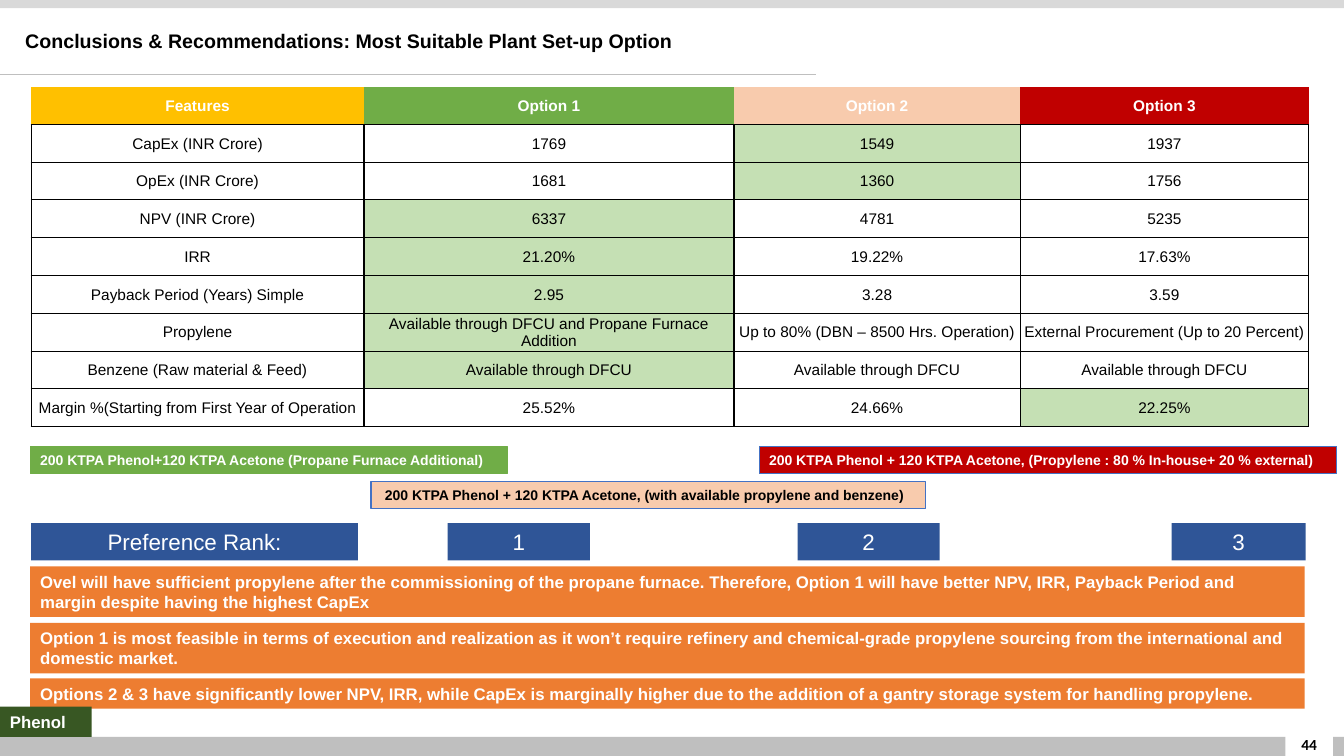
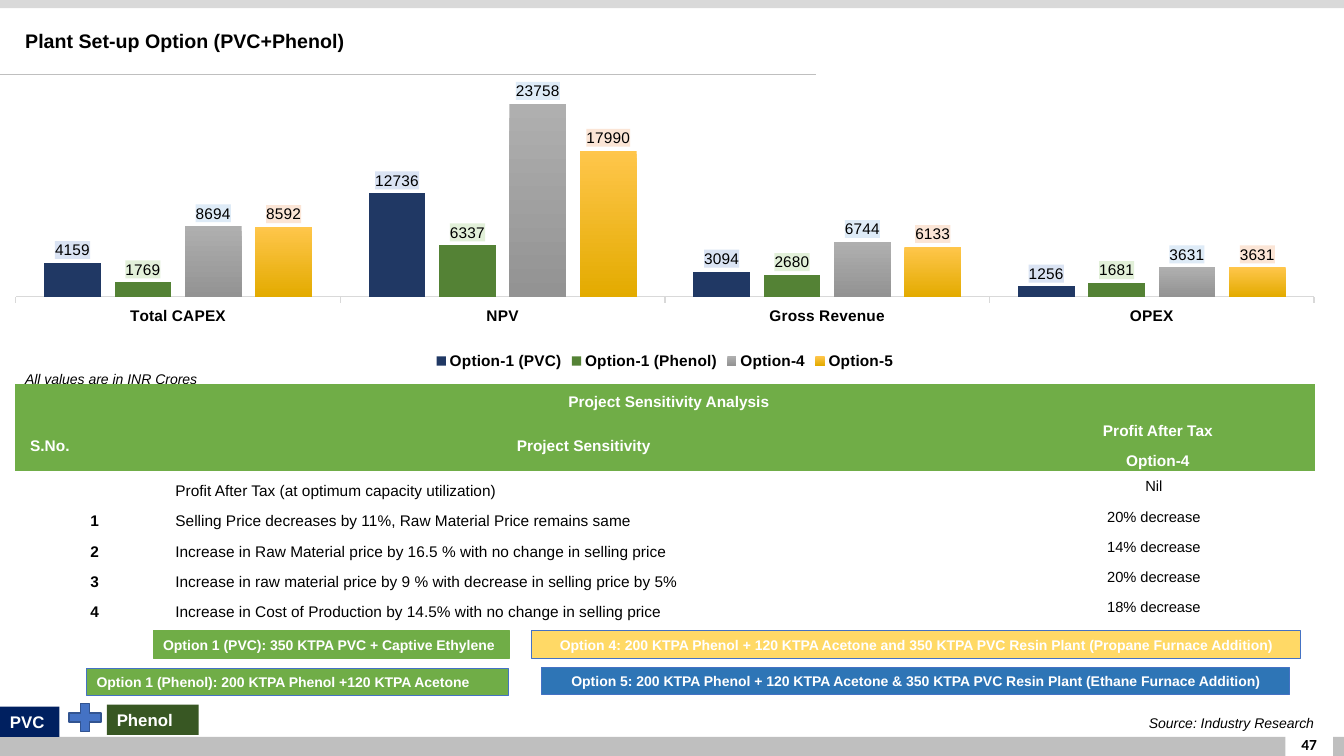
from dataclasses import dataclass

from lxml import etree
from pptx import Presentation
from pptx.chart.data import CategoryChartData
from pptx.dml.color import RGBColor
from pptx.enum.chart import XL_CHART_TYPE, XL_LABEL_POSITION, XL_LEGEND_POSITION, XL_TICK_MARK
from pptx.enum.shapes import MSO_CONNECTOR, MSO_SHAPE
from pptx.enum.text import MSO_ANCHOR, PP_ALIGN
from pptx.oxml import parse_xml
from pptx.oxml.ns import nsdecls, qn
from pptx.util import Inches, Pt

LEFT, CENTER, RIGHT = PP_ALIGN.LEFT, PP_ALIGN.CENTER, PP_ALIGN.RIGHT
TOP, MIDDLE = MSO_ANCHOR.TOP, MSO_ANCHOR.MIDDLE
RECTANGLE, PLUS = MSO_SHAPE.RECTANGLE, MSO_SHAPE.MATH_PLUS
NO_TABLE_STYLE = "{2D5ABB26-0587-4C30-8999-92F81FD0307C}"


@dataclass(frozen=True)
class Theme:
    font: str = "Arial"
    number_font: str = "Calibri"
    black: str = "000000"
    white: str = "FFFFFF"
    band: str = "BFBFBF"
    band_light: str = "D9D9D9"
    green: str = "70AD47"
    green_light: str = "C5E0B4"
    green_dark: str = "385723"
    green_bar: str = "548235"
    amber: str = "FFC000"
    yellow: str = "FFD966"
    peach: str = "F8CBAD"
    red: str = "C00000"
    orange: str = "ED7D31"
    blue: str = "2F5597"
    blue_bright: str = "2E75B6"
    blue_line: str = "4472C4"
    blue_edge: str = "325491"
    navy: str = "002060"
    navy_bar: str = "203864"
    title_size: float = 14
    rank_size: float = 16
    note_size: float = 12
    body_size: float = 11
    value_size: float = 10.5
    small_size: float = 10


THEME = Theme()


def rgb(color):
    return RGBColor.from_string(color)


def style_font(font, size=THEME.body_size, color=THEME.black, bold=False, italic=False, name=THEME.font):
    font.name, font.size, font.bold, font.italic = name, Pt(size), bold, italic
    font.color.rgb = rgb(color)


def write(text_frame, text, align=LEFT, anchor=MIDDLE, spacing=1.0, after=0, indent=0, **font_format):
    """Fill a text frame with one formatted paragraph."""
    text_frame.word_wrap = True
    text_frame.vertical_anchor = anchor
    paragraph = text_frame.paragraphs[0]
    paragraph.alignment = align
    paragraph.line_spacing = spacing
    paragraph.space_before, paragraph.space_after = Pt(0), Pt(after)
    if indent:
        paragraph._p.get_or_add_pPr().set("marL", str(Inches(indent)))
    if text:
        run = paragraph.add_run()
        run.text = text
        style_font(run.font, **font_format)
    else:
        paragraph._p.get_or_add_endParaRPr().set("sz", str(int(THEME.body_size * 100)))


def set_fill(fill, color):
    if color is None:
        fill.background()
    else:
        fill.solid()
        fill.fore_color.rgb = rgb(color)


def set_borders(cell, sides, color, width):
    properties = cell._tc.get_or_add_tcPr()
    for position, side in enumerate(sides):
        line = parse_xml(
            f'<a:ln{side} {nsdecls("a")} w="{Pt(width)}"><a:solidFill>'
            f'<a:srgbClr val="{color}"/></a:solidFill></a:ln{side}>')
        properties.insert(position, line)


class Deck:
    def __init__(self, theme):
        self.theme = theme
        self.presentation = Presentation()
        self.presentation.slide_width = Inches(13.33)
        self.presentation.slide_height = Inches(7.5)
        self.slide = None

    def new_slide(self, title, number):
        """Start a slide with its bands, rule, title and page number."""
        theme = self.theme
        self.slide = self.presentation.slides.add_slide(self.presentation.slide_layouts[5])
        self.box(-0.05, 7.31, 13.4, 0.19, theme.band)
        self.box(0, 0, 13.36, 0.08, theme.band_light)
        self.box(12.75, 7.13, 0.47, 0.38, theme.white)
        self.label(12.66, 7.18, 0.65, 0.4, number, align=CENTER, anchor=MIDDLE,
                   bold=True, name=theme.number_font)
        self.rule(0, 0.74, 8.09)
        heading = self.slide.shapes.title
        heading.left, heading.top = Inches(0.15), Inches(0.17)
        heading.width, heading.height = Inches(8.11), Inches(0.5)
        write(heading.text_frame, title, spacing=0.9, size=theme.title_size, bold=True)

    def rule(self, left, top, width):
        line = self.slide.shapes.add_connector(
            MSO_CONNECTOR.STRAIGHT, Inches(left), Inches(top), Inches(left + width), Inches(top))
        line.line.color.rgb = rgb(self.theme.band)
        line.line.width = Pt(0.5)
        etree.SubElement(line._element.spPr, qn("a:effectLst"))

    def box(self, left, top, width, height, fill, text=None, line=None, line_width=0.75,
            kind=RECTANGLE, color=THEME.white, **text_format):
        shape = self.slide.shapes.add_shape(
            kind, Inches(left), Inches(top), Inches(width), Inches(height))
        shape.shadow.inherit = False
        set_fill(shape.fill, fill)
        set_fill(shape.line.fill, line)
        if line:
            shape.line.width = Pt(line_width)
        if text:
            write(shape.text_frame, text, color=color, **text_format)

    def tag(self, left, top, width, fill, text, line=THEME.blue_line, **text_format):
        """Small bold caption that explains an option."""
        self.box(left, top, width, 0.27, fill, text, line, size=self.theme.small_size,
                 bold=True, **text_format)

    def note(self, left, top, width, height, fill, text):
        self.box(left, top, width, height, fill, text, size=self.theme.note_size, bold=True)

    def label(self, left, top, width, height, text, anchor=TOP, **text_format):
        text_box = self.slide.shapes.add_textbox(
            Inches(left), Inches(top), Inches(width), Inches(height))
        write(text_box.text_frame, text, anchor=anchor, **text_format)

    def table(self, left, top, widths, heights):
        frame = self.slide.shapes.add_table(
            len(heights), len(widths), Inches(left), Inches(top),
            Inches(sum(widths)), Inches(sum(heights)))
        table = frame.table
        table._tbl.tblPr.find(qn("a:tableStyleId")).text = NO_TABLE_STYLE
        for column, width in zip(table.columns, widths):
            column.width = Inches(width)
        for row, height in zip(table.rows, heights):
            row.height = Inches(height)
        return table

    def cell(self, cell, text, fill=None, borders=(), side_margin=0.01, top_margin=0.01, **text_format):
        cell.margin_left = cell.margin_right = Inches(side_margin)
        cell.margin_top, cell.margin_bottom = Inches(top_margin), 0
        cell.vertical_anchor = MIDDLE
        set_fill(cell.fill, fill)
        set_borders(cell, borders, self.theme.black, 1)
        write(cell.text_frame, text, anchor=None, **text_format)

    def column_chart(self, left, top, width, height, categories, series_rows, maximum):
        """Clustered columns; each series row is name, values, colours, label fill."""
        data = CategoryChartData(number_format="0")
        data.categories = categories
        for name, values, _, _ in series_rows:
            data.add_series(name, values)
        chart = self.slide.shapes.add_chart(
            XL_CHART_TYPE.COLUMN_CLUSTERED, Inches(left), Inches(top),
            Inches(width), Inches(height), data).chart
        style_font(chart.font)
        chart.has_title = False
        chart.has_legend = True
        chart.legend.position = XL_LEGEND_POSITION.BOTTOM
        chart.legend.include_in_layout = False
        style_font(chart.legend.font, bold=True)

        value_axis, category_axis = chart.value_axis, chart.category_axis
        value_axis.minimum_scale, value_axis.maximum_scale = 0, maximum
        value_axis.has_major_gridlines = False
        value_axis.visible = False
        category_axis.major_tick_mark = XL_TICK_MARK.OUTSIDE
        category_axis.format.line.color.rgb = rgb(self.theme.band_light)
        category_axis.format.line.width = Pt(1)
        style_font(category_axis.tick_labels.font, bold=True)

        plot = chart.plots[0]
        plot.gap_width, plot.overlap, plot.vary_by_categories = 100, -24, False
        for series, (_, _, colors, label_fill) in zip(plot.series, series_rows):
            self.fill_series(series, colors)
            self.label_series(series, label_fill)
        self.place_plot(chart, x=0, y=0.07, w=1, h=0.674)

    def fill_series(self, series, colors):
        fill = series.format.fill
        if len(colors) == 1:
            set_fill(fill, colors[0])
            return
        fill.gradient()
        fill.gradient_angle = 270
        for stop, color in zip(fill.gradient_stops, colors):
            stop.color.rgb = rgb(color)

    def label_series(self, series, label_fill):
        labels = series.data_labels
        labels.show_value = True
        labels.number_format, labels.number_format_is_linked = "0", False
        labels.position = XL_LABEL_POSITION.OUTSIDE_END
        style_font(labels.font)
        labels._element.find(qn("c:txPr")).addprevious(parse_xml(
            f'<c:spPr {nsdecls("c", "a")}><a:solidFill><a:srgbClr val="{label_fill}"/>'
            '</a:solidFill></c:spPr>'))

    def place_plot(self, chart, **bounds):
        plot_area = chart._chartSpace.chart.plotArea
        for old_layout in plot_area.findall(qn("c:layout")):
            plot_area.remove(old_layout)
        settings = {"layoutTarget": "inner", "xMode": "edge", "yMode": "edge", **bounds}
        items = "".join(f'<c:{key} val="{value}"/>' for key, value in settings.items())
        plot_area.insert(0, parse_xml(
            f'<c:layout {nsdecls("c")}><c:manualLayout>{items}</c:manualLayout></c:layout>'))


def build_conclusions(deck):
    theme = deck.theme
    deck.new_slide("Conclusions & Recommendations: Most Suitable Plant Set-up Option", "44")

    # Option comparison: features, three options, column of the best option
    headers = [("Features", theme.amber), ("Option 1", theme.green),
               ("Option 2", theme.peach), ("Option 3", theme.red)]
    dfcu = "Available through DFCU"
    features = [
        ("CapEx (INR Crore)", "1769", "1549", "1937", 2),
        ("OpEx (INR Crore)", "1681", "1360", "1756", 2),
        ("NPV (INR Crore)", "6337", "4781", "5235", 1),
        ("IRR", "21.20%", "19.22%", "17.63%", 1),
        ("Payback Period (Years) Simple", "2.95", "3.28", "3.59", 1),
        ("Propylene", "Available through DFCU and Propane Furnace Addition",
         "Up to 80% (DBN – 8500 Hrs. Operation)", "External Procurement (Up to 20 Percent)", 1),
        ("Benzene (Raw material & Feed)", dfcu, dfcu, dfcu, 1),
        ("Margin %(Starting from First Year of Operation", "25.52%", "24.66%", "22.25%", 3),
    ]
    table = deck.table(0.31, 0.86, [3.3, 3.67, 2.84, 2.86], [3.37 / 9] * 9)
    for column, (text, fill) in enumerate(headers):
        deck.cell(table.cell(0, column), text, fill, "B", align=CENTER, color=theme.white, bold=True)
    for row, (*texts, best) in enumerate(features, start=1):
        for column, text in enumerate(texts):
            fill = theme.green_light if column == best else theme.white
            deck.cell(table.cell(row, column), text, fill, "LRTB", align=CENTER)

    # Option captions
    deck.tag(0.3, 4.43, 4.73, theme.green,
             "200 KTPA Phenol+120 KTPA Acetone (Propane Furnace Additional)", line=theme.green)
    deck.tag(3.68, 4.78, 5.5, theme.peach,
             "200 KTPA Phenol + 120 KTPA Acetone, (with available propylene and benzene)",
             color=theme.black, indent=0.04)
    deck.tag(7.53, 4.43, 5.73, theme.red,
             "200 KTPA Phenol + 120 KTPA Acetone, (Propylene : 80 % In-house+ 20 % external)")

    # Preference ranks
    for left, width, text in [(0.31, 3.24, "Preference Rank:"), (4.44, 1.41, "1"),
                              (7.91, 1.41, "2"), (11.62, 1.33, "3")]:
        deck.box(left, 5.19, width, 0.37, theme.blue, text, align=CENTER, size=theme.rank_size)

    # Recommendations
    for top, height, text in [
        (5.62, 0.5, "Ovel will have sufficient propylene after the commissioning of the propane furnace. "
         "Therefore, Option 1 will have better NPV, IRR, Payback Period and margin despite having "
         "the highest CapEx"),
        (6.18, 0.5, "Option 1 is most feasible in terms of execution and realization as it won’t require "
         "refinery and chemical-grade propylene sourcing from the international and domestic market."),
        (6.73, 0.3, "Options 2 & 3 have significantly lower NPV, IRR, while CapEx is marginally higher "
         "due to the addition of a gantry storage system for handling propylene."),
    ]:
        deck.note(0.3, top, 12.64, height, theme.orange, text)
    deck.note(0, 7.01, 0.91, 0.3, theme.green_dark, "Phenol")


def build_plant_options(deck):
    theme = deck.theme
    deck.new_slide("Plant Set-up Option (PVC+Phenol)", "47")
    deck.label(10.86, 7.03, 2.27, 0.27, "Source: Industry Research", align=RIGHT, spacing=1.07,
               size=theme.small_size, italic=True)

    # Option figures
    deck.column_chart(0.15, 0.72, 12.89, 2.99, ["Total CAPEX", "NPV", "Gross Revenue", "OPEX"], [
        ("Option-1 (PVC)", (4159, 12736, 3094, 1256), [theme.navy_bar], "DAE3F3"),
        ("Option-1 (Phenol)", (1769, 6337, 2680, 1681), [theme.green_bar], "E2F0D9"),
        ("Option-4", (8694, 23758, 6744, 3631), ["AFAFAF", "939393"], "DEEBF7"),
        ("Option-5", (8592, 17990, 6133, 3631), ["FFC64B", "E3AB00"], "FBE5D6"),
    ], maximum=25000)
    deck.label(0.15, 3.62, 2.27, 0.27, "All values are in INR Crores", spacing=1.07,
               size=theme.small_size, italic=True)

    # Sensitivity table
    table = deck.table(0.15, 3.81, [1.5, 8.2, 3.19], [0.26, 0.29] + [0.3] * 6)
    table.cell(0, 0).merge(table.cell(0, 2))
    for column in (0, 1):
        table.cell(1, column).merge(table.cell(2, column))
    spaced = {"spacing": 1.5, "indent": 0.08}
    header = {"fill": theme.green, "color": theme.white, "bold": True, **spaced}
    for row, column, text, align in [(0, 0, "Project Sensitivity Analysis", CENTER),
                                     (1, 0, "S.No.", LEFT), (1, 1, "Project Sensitivity", CENTER),
                                     (1, 2, "Profit After Tax", CENTER)]:
        deck.cell(table.cell(row, column), text, align=align, after=8,
                  side_margin=0.07, top_margin=0, **header)
    deck.cell(table.cell(2, 2), "Option-4", align=CENTER, **header)
    for row, (number, sensitivity, profit) in enumerate([
        ("", "Profit After Tax (at optimum capacity utilization)", "Nil"),
        ("1", "Selling Price decreases by 11%, Raw Material Price remains same", "20% decrease"),
        ("2", "Increase in Raw Material price by 16.5 % with no change in selling price", "14% decrease"),
        ("3", "Increase in raw material price by 9 % with decrease in selling price by 5%", "20% decrease"),
        ("4", "Increase in Cost of Production by 14.5% with no change in selling price", "18% decrease"),
    ], start=3):
        deck.cell(table.cell(row, 0), number, align=CENTER, bold=True, **spaced)
        deck.cell(table.cell(row, 1), sensitivity, **spaced)
        deck.cell(table.cell(row, 2), profit, align=CENTER, size=theme.value_size)

    # Option captions
    deck.tag(1.52, 6.26, 3.53, theme.green, "Option 1 (PVC): 350 KTPA PVC + Captive Ethylene",
             line=theme.green)
    deck.tag(0.86, 6.63, 4.18, theme.green, "Option 1 (Phenol): 200 KTPA Phenol +120 KTPA Acetone")
    deck.tag(5.27, 6.26, 7.63, theme.yellow, "Option 4: 200 KTPA Phenol + 120 KTPA Acetone and "
             "350 KTPA PVC Resin Plant (Propane Furnace Addition)", align=CENTER)
    deck.tag(5.37, 6.62, 7.42, theme.blue_bright, "Option 5: 200 KTPA Phenol + 120 KTPA Acetone & "
             "350 KTPA PVC Resin Plant (Ethane Furnace Addition)", align=CENTER)

    # Product markers
    deck.note(0, 7.01, 0.59, 0.3, theme.navy, "PVC")
    deck.box(0.63, 6.93, 0.43, 0.38, theme.blue_line, line=theme.blue_edge, line_width=1, kind=PLUS)
    deck.note(1.06, 6.99, 0.91, 0.3, theme.green_dark, "Phenol")


def main():
    deck = Deck(THEME)
    build_conclusions(deck)
    build_plant_options(deck)
    deck.presentation.save("out.pptx")


if __name__ == "__main__":
    main()
